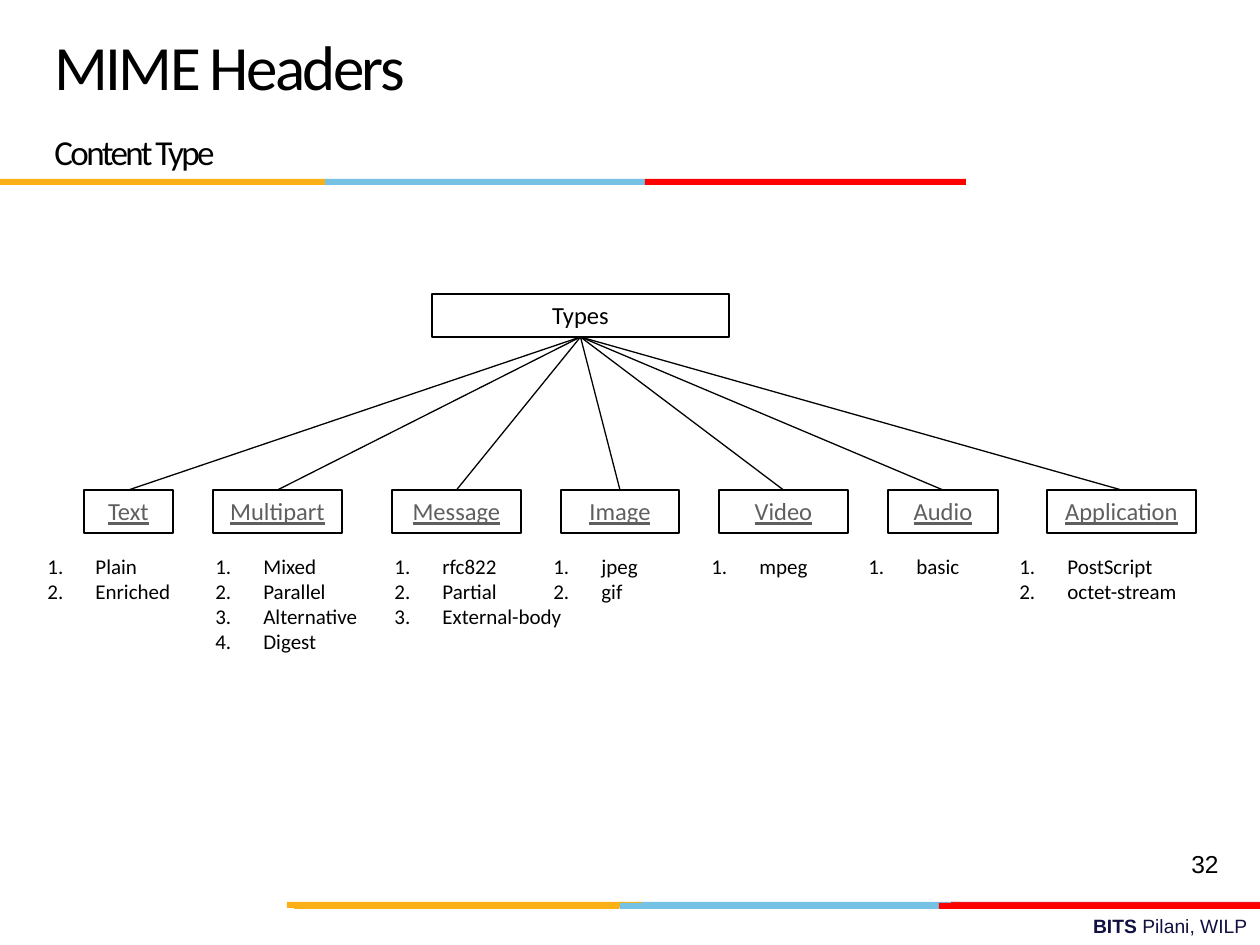
from lxml.etree import SubElement
from pptx import Presentation
from pptx.dml.color import RGBColor
from pptx.enum.shapes import MSO_CONNECTOR, MSO_SHAPE
from pptx.enum.text import MSO_ANCHOR, MSO_AUTO_SIZE, PP_ALIGN
from pptx.oxml.ns import qn
from pptx.util import Pt

EMU_PER_PX = 914400 / 126
BLACK, GREY, NAVY = "000000", "5F5F5F", "101141"
GOLD, SKY, CRIMSON, RED = "FCB017", "76C2E5", "E31C24", "FF0000"

BARS = [
    (902, [(638, 321, SKY), (951, 309, CRIMSON), (287, 355, GOLD)]),
    (903, [(620, 321, SKY), (294, 325, GOLD), (939, 321, RED)]),
    (179, [(325, 321, SKY), (0, 325, GOLD), (645, 321, RED)]),
]
BAR_HEIGHT = 6
TITLE = [("MIME Headers", 36), ("Content Type", 20)]
FOOTER = [("BITS ", True), ("Pilani, WILP", False)]
ROOT = ("Types", (432, 294, 297, 43))
TYPES = [
    ("Text", 84, 89, 35, 169, ["Plain", "Enriched"]),
    ("Multipart", 213, 129, 203, 189, ["Mixed", "Parallel", "Alternative", "Digest"]),
    ("Message", 392, 129, 382, 218, ["rfc822", "Partial", "External-body"]),
    ("Image", 561, 118, 541, 189, ["jpeg", "gif"]),
    ("Video", 719, 129, 699, 189, ["mpeg"]),
    ("Audio", 888, 110, 856, 189, ["basic"]),
    ("Application", 1047, 149, 1007, 228, ["PostScript", "octet-stream"]),
]
TYPE_TOP, TYPE_HEIGHT = 490, 43
LIST_TOP, LIST_PADDING, LIST_LINE, LIST_INDENT = 547, 12, 26, 48


def px(length):
    return round(length * EMU_PER_PX)


def colour(value):
    return RGBColor.from_string(value)


def assign(target, **values):
    for name, value in values.items():
        setattr(target, name, value)


def write(para, text, size, tint=BLACK, name="Calibri", **style):
    span = para.add_run()
    span.text = text
    assign(span.font, size=Pt(size), name=name, **style)
    span.font.color.rgb = colour(tint)
    return span


def add_text(page, place, **layout):
    frame = page.shapes.add_textbox(*map(px, place)).text_frame
    assign(frame, word_wrap=True, **layout)
    return frame


def add_paragraph(frame, index):
    return frame.add_paragraph() if index else frame.paragraphs[0]


def add_bar(page, left, top, width, tint):
    bar = page.shapes.add_shape(
        MSO_SHAPE.RECTANGLE, *map(px, (left, top, width, BAR_HEIGHT)))
    bar.shadow.inherit = False
    bar.fill.solid()
    bar.fill.fore_color.rgb = colour(tint)
    bar.line.fill.background()


def outline(line):
    line.color.rgb = colour(BLACK)
    line.width = Pt(0.75)


def add_node(page, text, place, tint=BLACK, **style):
    node = page.shapes.add_shape(MSO_SHAPE.RECTANGLE, *map(px, place))
    node.shadow.inherit = False
    node.fill.background()
    outline(node.line)
    assign(node.text_frame, word_wrap=True, vertical_anchor=MSO_ANCHOR.TOP,
           auto_size=MSO_AUTO_SIZE.SHAPE_TO_FIT_TEXT)
    para = node.text_frame.paragraphs[0]
    para.alignment = PP_ALIGN.CENTER
    write(para, text, 14, tint, **style)
    return node


def add_list(page, left, width, items):
    height = LIST_PADDING + LIST_LINE * len(items)
    frame = add_text(page, (left, LIST_TOP, width, height),
                     auto_size=MSO_AUTO_SIZE.SHAPE_TO_FIT_TEXT)
    for index, item in enumerate(items):
        para = add_paragraph(frame, index)
        properties = para._p.get_or_add_pPr()
        properties.set("marL", str(px(LIST_INDENT)))
        properties.set("indent", str(-px(LIST_INDENT)))
        SubElement(properties, qn("a:buAutoNum"), type="arabicPeriod")
        write(para, item, 12)


def add_branch(page, parent, child):
    branch = page.shapes.add_connector(MSO_CONNECTOR.STRAIGHT, 0, 0, 0, 0)
    branch.begin_connect(parent, 2)
    branch.end_connect(child, 0)
    outline(branch.line)
    SubElement(branch._element.spPr, qn("a:effectLst"))


def add_title(page):
    frame = add_text(page, (42, 21, 872, 158), margin_top=px(19),
                     vertical_anchor=MSO_ANCHOR.MIDDLE)
    for index, (text, size) in enumerate(TITLE):
        para = add_paragraph(frame, index)
        para.line_spacing = Pt(36)
        if index:
            para.space_before = Pt(4)
        span = write(para, text, size)
        span.font._element.set("spc", "-150")


def add_footer(page):
    para = add_text(page, (451, 908, 809, 37)).paragraphs[0]
    para.alignment = PP_ALIGN.RIGHT
    for text, bold in FOOTER:
        write(para, text, 11, NAVY, "Arial", bold=bold)


def add_number(page):
    frame = add_text(page, (937, 839, 294, 50), vertical_anchor=MSO_ANCHOR.MIDDLE)
    frame.paragraphs[0].alignment = PP_ALIGN.RIGHT
    write(frame.paragraphs[0], "32", 14, name="Arial")


def main():
    """Build the slide on the MIME content types."""
    deck = Presentation()
    assign(deck, slide_width=px(1260), slide_height=px(945))
    page = deck.slides.add_slide(deck.slide_layouts[6])
    add_footer(page)
    for top, bars in BARS:
        for left, width, tint in bars:
            add_bar(page, left, top, width, tint)
    add_title(page)
    add_number(page)
    root = add_node(page, *ROOT)
    nodes = [add_node(page, text, (left, TYPE_TOP, width, TYPE_HEIGHT), GREY, underline=True)
             for text, left, width, *_ in TYPES]
    for *_, left, width, items in TYPES:
        add_list(page, left, width, items)
    for node in nodes:
        add_branch(page, root, node)
    deck.save("out.pptx")


if __name__ == "__main__":
    main()
